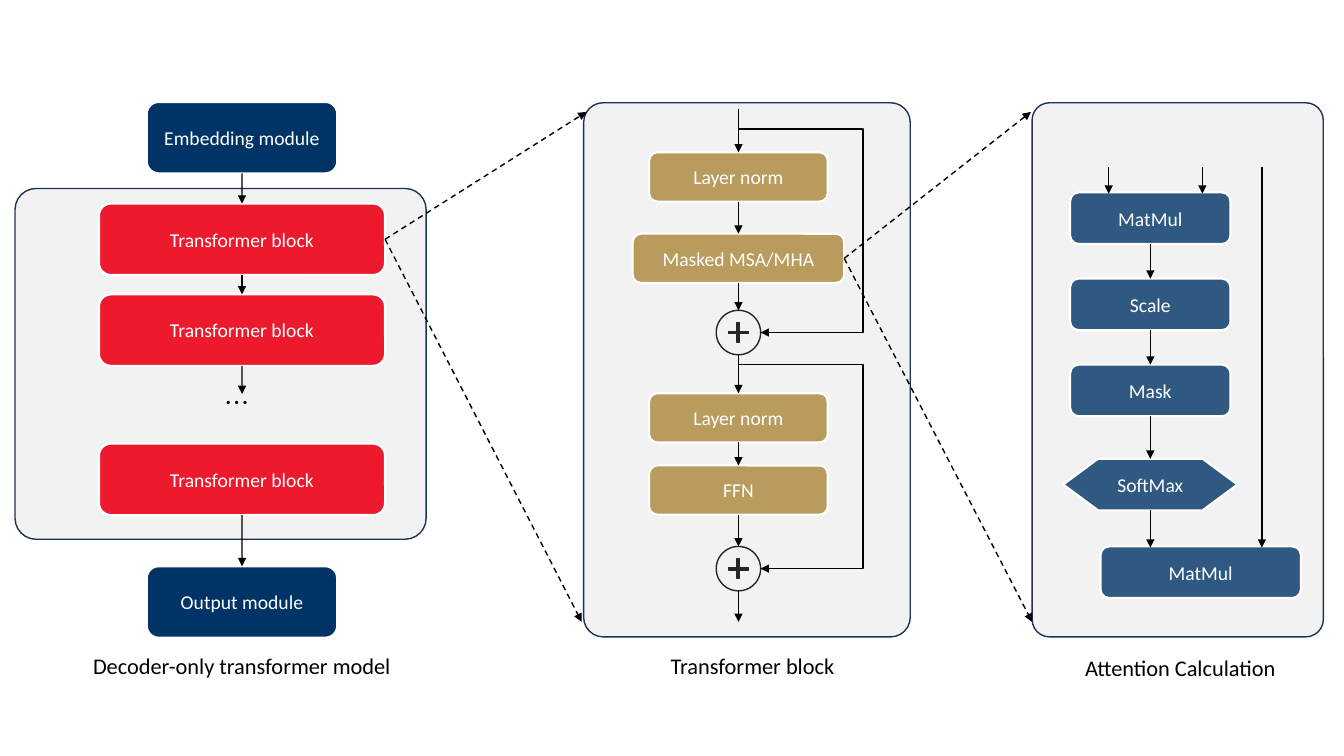
from lxml import etree
from pptx import Presentation
from pptx.dml.color import RGBColor
from pptx.enum import dml, shapes, text
from pptx.oxml import ns
from pptx.util import Cm, Pt

NAVY = RGBColor(0x00, 0x33, 0x66)
RED = RGBColor(0xED, 0x1A, 0x2E)
GOLD = RGBColor(0xAB, 0x86, 0x38)
PANEL_FILL = RGBColor(0xF2, 0xF2, 0xF2)
PANEL_LINE = RGBColor(0x1E, 0x32, 0x56)
CHARCOAL = RGBColor(0x26, 0x26, 0x26)
WHITE = RGBColor(0xFF, 0xFF, 0xFF)
BLACK = RGBColor(0x00, 0x00, 0x00)

KIND = shapes.MSO_SHAPE
TOP, RIGHT, BOTTOM = 0, 3, 2
PANEL_TOP, PANEL_HEIGHT = 2.59, 13.46
MODEL_X, BLOCK_X, ATTENTION_X = 6.1, 18.61, 28.99
CIRCLE = 1.12
PLUS = 0.69


def add_child(parent, tag, **attributes):
    return etree.SubElement(parent, ns.qn(tag), attributes)


def write(shape, words, size=14, color=WHITE, font="Calibri",
          align=text.PP_ALIGN.CENTER, wrap=True):
    frame = shape.text_frame
    frame.word_wrap = wrap
    para = frame.paragraphs[0]
    para.alignment = align
    span = para.add_run()
    span.text = words
    span.font.size = Pt(size)
    span.font.name = font
    span.font.color.rgb = color


def outline(page, kind, left, top, width, height, fill, line, weight=1):
    shape = page.shapes.add_shape(kind, Cm(left), Cm(top), Cm(width), Cm(height))
    shape.shadow.inherit = False
    if fill is None:
        shape.fill.background()
    else:
        shape.fill.solid()
        shape.fill.fore_color.rgb = fill
    shape.line.color.rgb = line
    shape.line.width = Pt(weight)
    return shape


def panel(page, left, top, width, height):
    shape = outline(page, KIND.ROUNDED_RECTANGLE, left, top, width, height,
                    PANEL_FILL, PANEL_LINE)
    shape.adjustments[0] = 0.06


def node(page, words, center, top, width, height, fill, opacity=100,
         kind=KIND.ROUNDED_RECTANGLE):
    shape = outline(page, kind, center - width / 2, top, width, height,
                    fill, WHITE, 1.5)
    if opacity < 100:
        color = shape.fill._xPr.find(".//" + ns.qn("a:srgbClr"))
        add_child(color, "a:alpha", val=str(opacity * 1000))
    shape.text_frame.vertical_anchor = text.MSO_ANCHOR.MIDDLE
    write(shape, words)
    return shape


def plus_circle(page, center, top):
    circle = outline(page, KIND.OVAL, center - CIRCLE / 2, top, CIRCLE, CIRCLE,
                     None, CHARCOAL)
    plus = outline(page, KIND.MATH_PLUS, center - PLUS / 2,
                   top + (CIRCLE - PLUS) / 2, PLUS, PLUS, CHARCOAL, CHARCOAL)
    plus.adjustments[0] = 0.094
    return circle


def arrow(page, start, end, dashed=False, kind=shapes.MSO_CONNECTOR.STRAIGHT):
    """Each end is either a point in cm or a (shape, side) pair."""
    points = [(0, 0) if hasattr(spot[0], "shape_id") else spot
              for spot in (start, end)]
    line = page.shapes.add_connector(
        kind, *(Cm(value) for point in points for value in point))
    if hasattr(start[0], "shape_id"):
        line.begin_connect(*start)
    if hasattr(end[0], "shape_id"):
        line.end_connect(*end)
    line.line.color.rgb = BLACK
    line.line.width = Pt(1)
    if dashed:
        line.line.dash_style = dml.MSO_LINE.DASH
    add_child(line.line._get_or_add_ln(), "a:tailEnd", type="triangle")
    add_child(line._element.spPr, "a:effectLst")
    return line


def skip_arrow(page, start, end, bend):
    line = arrow(page, start, end, kind=shapes.MSO_CONNECTOR.ELBOW)
    ratio = round((bend - start[0]) / (end[0] - start[0]) * 100000)
    guides = line._element.spPr.find(".//" + ns.qn("a:avLst"))
    add_child(guides, "a:gd", name="adj1", fmla=f"val {ratio}")


def label(page, words, left, top, width, height, **style):
    box = page.shapes.add_textbox(Cm(left), Cm(top), Cm(width), Cm(height))
    write(box, words, color=BLACK, **style)


def draw_model(page):
    panel(page, 0.38, 4.75, 10.36, 8.84)
    embedding, output = [node(page, words, MODEL_X, top, 4.8, 1.8, NAVY)
                         for words, top in (("Embedding module", 2.57),
                                            ("Output module", 14.27))]
    first, second, last = [
        node(page, "Transformer block", MODEL_X, top, 7.21, 1.8, RED)
        for top in (5.13, 7.42, 11.18)]
    label(page, "…", 5.41, 9.63, 1.4, 1.24, size=18, font="Noto Sans CJK SC",
          align=text.PP_ALIGN.LEFT, wrap=False)
    for upper, lower in ((embedding, first), (first, second), (last, output)):
        arrow(page, (upper, BOTTOM), (lower, TOP))
    arrow(page, (second, BOTTOM), (MODEL_X, 9.93))
    return first


def draw_block(page):
    panel(page, 14.71, PANEL_TOP, 8.23, PANEL_HEIGHT)
    norm, masked, second_norm, ffn = [
        node(page, words, BLOCK_X, top, width, 1.24, GOLD, 80)
        for words, top, width in (("Layer norm", 3.84, 4.5),
                                  ("Masked MSA/MHA", 5.89, 5.33),
                                  ("Layer norm", 9.91, 4.5),
                                  ("FFN", 11.73, 4.5))]
    circle_tops = (7.82, 13.77)
    first_sum, second_sum = [plus_circle(page, BLOCK_X, top)
                             for top in circle_tops]
    for upper, lower in ((norm, masked), (masked, first_sum),
                         (second_norm, ffn), (ffn, second_sum)):
        arrow(page, (upper, BOTTOM), (lower, TOP))
    arrow(page, (BLOCK_X, 2.74), (norm, TOP))
    arrow(page, (BLOCK_X, circle_tops[0] + CIRCLE), (second_norm, TOP))
    arrow(page, (BLOCK_X, circle_tops[1] + CIRCLE), (BLOCK_X, 15.67))
    # Residual paths around each half of the block
    for branch, top in zip((3.25, 9.19), circle_tops):
        skip_arrow(page, (BLOCK_X, branch),
                   (BLOCK_X + CIRCLE / 2, top + CIRCLE / 2), 21.75)
    return masked


def draw_attention(page):
    panel(page, 26.01, PANEL_TOP, 7.34, PANEL_HEIGHT)
    steps = [node(page, words, ATTENTION_X, 4.85 + 2.17 * row, 4.04, 1.3, NAVY, 80)
             for row, words in enumerate(("MatMul", "Scale", "Mask"))]
    steps.append(node(page, "SoftMax", ATTENTION_X, 11.56, 4.39, 1.3, NAVY, 80,
                      KIND.FLOWCHART_PREPARATION))
    node(page, "MatMul", 30.26, 13.77, 5.05, 1.3, NAVY, 80)
    for upper, lower in zip(steps, steps[1:]):
        arrow(page, (upper, BOTTOM), (lower, TOP))
    arrow(page, (steps[-1], BOTTOM), (ATTENTION_X, 13.8))
    # Inputs
    for x, end in ((27.94, 4.88), (30.3, 4.88), (31.8, 13.8)):
        arrow(page, (x, 4.22), (x, end))


def main():
    deck = Presentation()
    deck.slide_width, deck.slide_height = Cm(33.87), Cm(19.05)
    page = deck.slides.add_slide(deck.slide_layouts[6])

    # Three levels of detail
    block = draw_model(page)
    masked = draw_block(page)
    draw_attention(page)

    # Zoom lines between the levels
    for source, corners in ((block, ((14.78, 2.82), (14.66, 15.67))),
                            (masked, ((25.98, 2.82), (26.01, 15.67)))):
        for corner in corners:
            arrow(page, (source, RIGHT), corner, dashed=True)

    # Captions
    for words, left, top, width in (
            ("Decoder-only transformer model", 0.38, 16.31, 11.43),
            ("Transformer block", 15.65, 16.31, 6.63),
            ("Attention Calculation", 26.01, 16.36, 7.47)):
        label(page, words, left, top, width, 1.09, size=16)

    deck.save("out.pptx")


if __name__ == "__main__":
    main()
